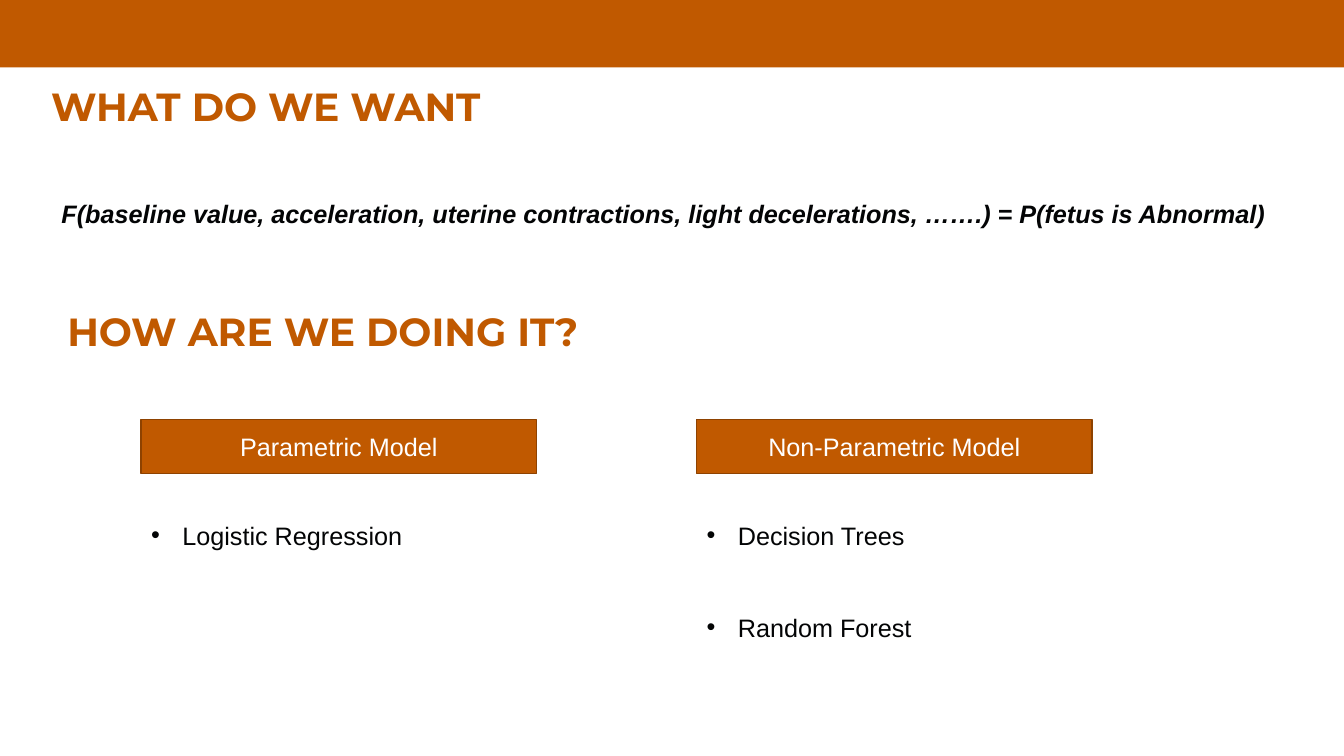
from dataclasses import dataclass

from lxml import etree
from pptx import Presentation
from pptx.dml.color import RGBColor
from pptx.enum.shapes import MSO_SHAPE
from pptx.enum.text import MSO_ANCHOR, PP_ALIGN
from pptx.oxml.ns import qn
from pptx.util import Inches, Pt

RECTANGLE = MSO_SHAPE.RECTANGLE
MIDDLE = MSO_ANCHOR.MIDDLE
CENTER = PP_ALIGN.CENTER


@dataclass(frozen=True)
class Theme:
    accent: RGBColor = RGBColor(0xC0, 0x59, 0x00)
    outline: RGBColor = RGBColor(0x8E, 0x42, 0x00)
    ink: RGBColor = RGBColor(0x03, 0x04, 0x05)
    white: RGBColor = RGBColor(0xFF, 0xFF, 0xFF)
    heading_font: str = "Montserrat"
    body_font: str = "Arial"
    heading_size: Pt = Pt(28)
    body_size: Pt = Pt(18)


class SlideBuilder:
    def __init__(self, slide, theme):
        self.shapes = slide.shapes
        self.theme = theme

    def add_wording(self, paragraph, text, color, paragraph_format=None, **font_format):
        """Fill a paragraph, using body style unless font_format overrides it."""
        for name, value in (paragraph_format or {}).items():
            setattr(paragraph, name, value)
        run = paragraph.add_run()
        run.text = text
        run.font.color.rgb = color
        style = {"name": self.theme.body_font, "size": self.theme.body_size}
        for name, value in (style | font_format).items():
            setattr(run.font, name, value)

    def text_frame(self, left, top, width, height):
        box = self.shapes.add_textbox(*map(Inches, (left, top, width, height)))
        box.text_frame.word_wrap = True
        return box.text_frame

    def bar(self, left, top, width, height, outline=None):
        bar = self.shapes.add_shape(RECTANGLE, *map(Inches, (left, top, width, height)))
        bar.shadow.inherit = False
        bar.fill.solid()
        bar.fill.fore_color.rgb = self.theme.accent
        if outline is None:
            bar.line.fill.background()
        else:
            bar.line.color.rgb = outline
            bar.line.width = Pt(1)
        return bar

    def heading(self, text, *bounds):
        frame = self.text_frame(*bounds)
        self.add_wording(frame.paragraphs[0], text, self.theme.accent,
                         {"line_spacing": 0.9, "space_after": Pt(6)},
                         name=self.theme.heading_font, size=self.theme.heading_size,
                         bold=True)

    def formula(self, text, *bounds):
        frame = self.text_frame(*bounds)
        for side in ("left", "top", "right", "bottom"):
            setattr(frame, f"margin_{side}", 0)
        self.add_wording(frame.paragraphs[0], text, self.theme.ink, bold=True, italic=True)

    def model_label(self, text, *bounds):
        frame = self.bar(*bounds, outline=self.theme.outline).text_frame
        frame.vertical_anchor = MIDDLE
        self.add_wording(frame.paragraphs[0], text, self.theme.white, {"alignment": CENTER})

    def bullets(self, items, *bounds):
        frame = self.text_frame(*bounds)
        for index, item in enumerate(items):
            paragraph = frame.add_paragraph() if index else frame.paragraphs[0]
            properties = paragraph._p.get_or_add_pPr()
            properties.set("marL", str(Inches(0.31)))
            properties.set("indent", str(-Inches(0.31)))
            etree.SubElement(properties, qn("a:buFont"), typeface=self.theme.body_font)
            etree.SubElement(properties, qn("a:buChar"), char="•")
            spacing = {"space_before": Pt(44)} if index else None
            self.add_wording(paragraph, item, self.theme.ink, spacing)


def main():
    presentation = Presentation()
    presentation.slide_width = Inches(13.33)
    presentation.slide_height = Inches(7.5)
    slide = presentation.slides.add_slide(presentation.slide_layouts[6])
    builder = SlideBuilder(slide, Theme())

    builder.bar(0, 0, 13.33, 0.67)
    builder.heading("WHAT DO WE WANT", 0.41, 0.82, 9.18, 0.65)
    builder.formula(
        "F(baseline value, acceleration, uterine contractions, light decelerations, "
        "…….) = P(fetus is Abnormal)", 0.61, 1.97, 12.61, 0.3)
    builder.heading("HOW ARE WE DOING IT?", 0.57, 3.05, 6.94, 0.95)

    models = {
        "Parametric Model": ["Logistic Regression"],
        "Non-Parametric Model": ["Decision Trees", "Random Forest"],
    }
    for column, (model, methods) in enumerate(models.items()):
        left = 1.4 + 5.51 * column
        builder.model_label(model, left, 4.16, 3.92, 0.54)
        builder.bullets(methods, left, 5.11, 2.72, 0.4 + 0.91 * (len(methods) - 1))

    presentation.save("out.pptx")


if __name__ == "__main__":
    main()
